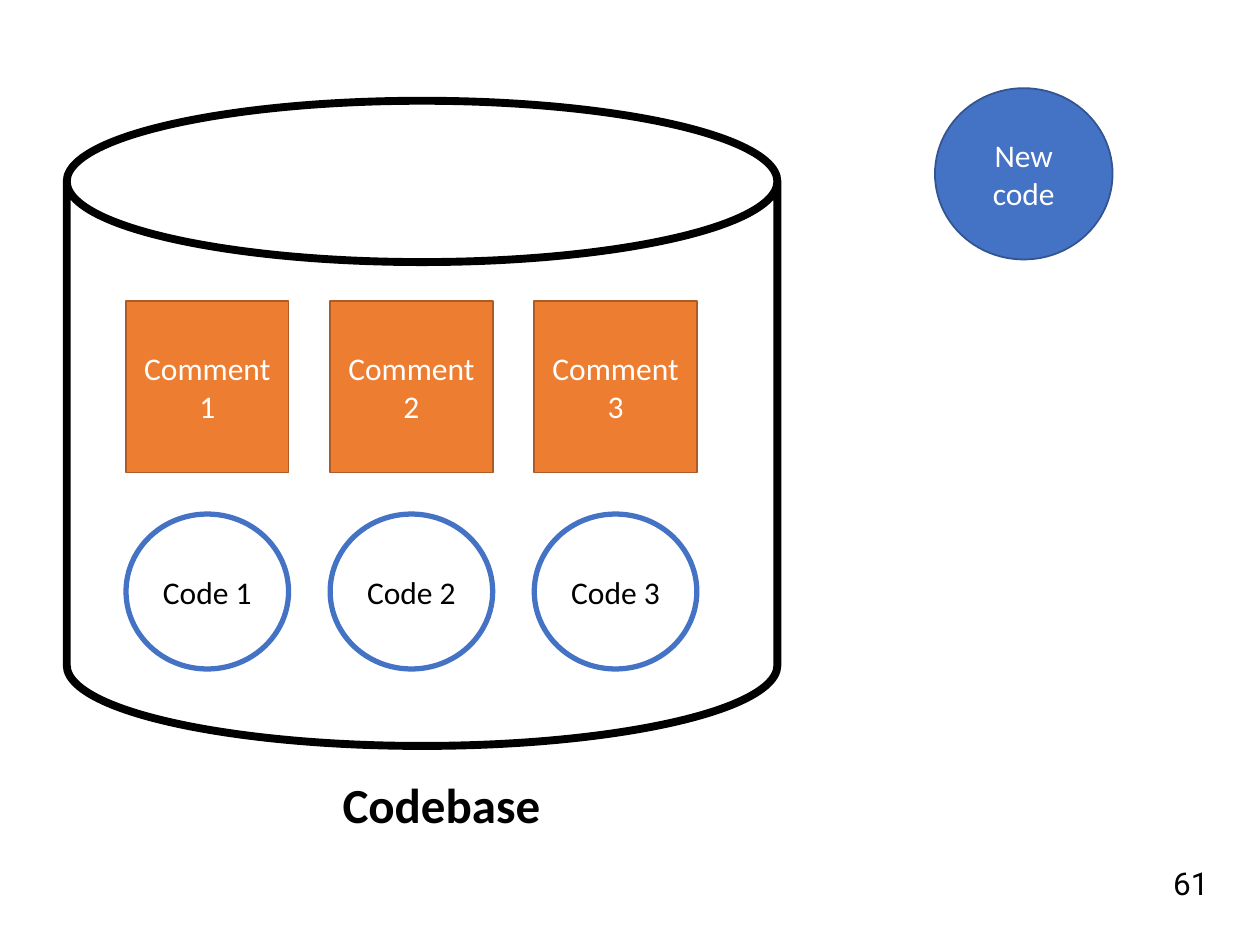
from dataclasses import dataclass

from pptx import Presentation
from pptx.dml.color import RGBColor
from pptx.enum.shapes import MSO_SHAPE
from pptx.enum.text import MSO_ANCHOR, MSO_AUTO_SIZE, PP_ALIGN
from pptx.util import Pt


@dataclass(frozen=True)
class Theme:
    black: str = "000000"
    white: str = "FFFFFF"
    blue: str = "4472C4"
    dark_blue: str = "325491"
    orange: str = "ED7D31"
    dark_orange: str = "AF5C24"
    font: str = "Calibri"
    number_font: str = "Roboto"
    body: int = 18
    heading: int = 28


THEME = Theme()

COMMENTS = ["Comment1", "Comment 2", "Comment 3"]
CODES = ["Code 1", "Code 2", "Code 3"]
NEW_CODE = "New code"
CAPTION = "Codebase"
PAGE_NUMBER = "61"

COLUMN_LEFT, COLUMN_STEP, ITEM_WIDTH = 72, 116.64, 92.88
ROWS = [
    (CODES, MSO_SHAPE.OVAL, 293.76, 88.56, THEME.white, THEME.blue, 3, THEME.black),
    (COMMENTS, MSO_SHAPE.RECTANGLE, 172.08, 97.92, THEME.orange, THEME.dark_orange, 1, THEME.white),
]


def write(frame, text, color, align=PP_ALIGN.CENTER, size=THEME.body, font=THEME.font, bold=False):
    paragraph = frame.paragraphs[0]
    paragraph.alignment = align
    run = paragraph.add_run()
    run.text = text
    run.font.name = font
    run.font.size = Pt(size)
    run.font.bold = bold
    run.font.color.rgb = RGBColor.from_string(color)


def add_figure(slide, kind, box, fill, line, weight):
    figure = slide.shapes.add_shape(kind, *map(Pt, box))
    figure.shadow.inherit = False
    figure.fill.solid()
    figure.fill.fore_color.rgb = RGBColor.from_string(fill)
    figure.line.color.rgb = RGBColor.from_string(line)
    figure.line.width = Pt(weight)
    figure.text_frame.word_wrap = True
    figure.text_frame.vertical_anchor = MSO_ANCHOR.MIDDLE
    return figure


def main():
    deck = Presentation()
    deck.slide_width, deck.slide_height = Pt(720), Pt(540)
    slide = deck.slides.add_slide(deck.slide_layouts[6])

    add_figure(slide, MSO_SHAPE.CAN, (38.16, 57.6, 406.08, 368.64), THEME.white, THEME.black, 4.5)

    number = slide.shapes.add_textbox(Pt(612.72), Pt(480.24), Pt(84.96), Pt(48.96)).text_frame
    number.word_wrap = True
    number.vertical_anchor = MSO_ANCHOR.MIDDLE
    write(number, PAGE_NUMBER, THEME.black, PP_ALIGN.RIGHT, font=THEME.number_font)

    for labels, kind, top, height, fill, line, weight, ink in ROWS:
        for column, label in enumerate(labels):
            box = (COLUMN_LEFT + column * COLUMN_STEP, top, ITEM_WIDTH, height)
            item = add_figure(slide, kind, box, fill, line, weight)
            write(item.text_frame, label, ink)

    new_code = add_figure(
        slide, MSO_SHAPE.OVAL, (534.24, 50.4, 101.52, 97.92), THEME.blue, THEME.dark_blue, 1
    )
    write(new_code.text_frame, NEW_CODE, THEME.white)

    caption = slide.shapes.add_textbox(Pt(188.64), Pt(439.2), Pt(128.88), Pt(41.04)).text_frame
    caption.word_wrap = False
    caption.auto_size = MSO_AUTO_SIZE.SHAPE_TO_FIT_TEXT
    write(caption, CAPTION, THEME.black, PP_ALIGN.LEFT, THEME.heading, bold=True)

    deck.save("out.pptx")


if __name__ == "__main__":
    main()
